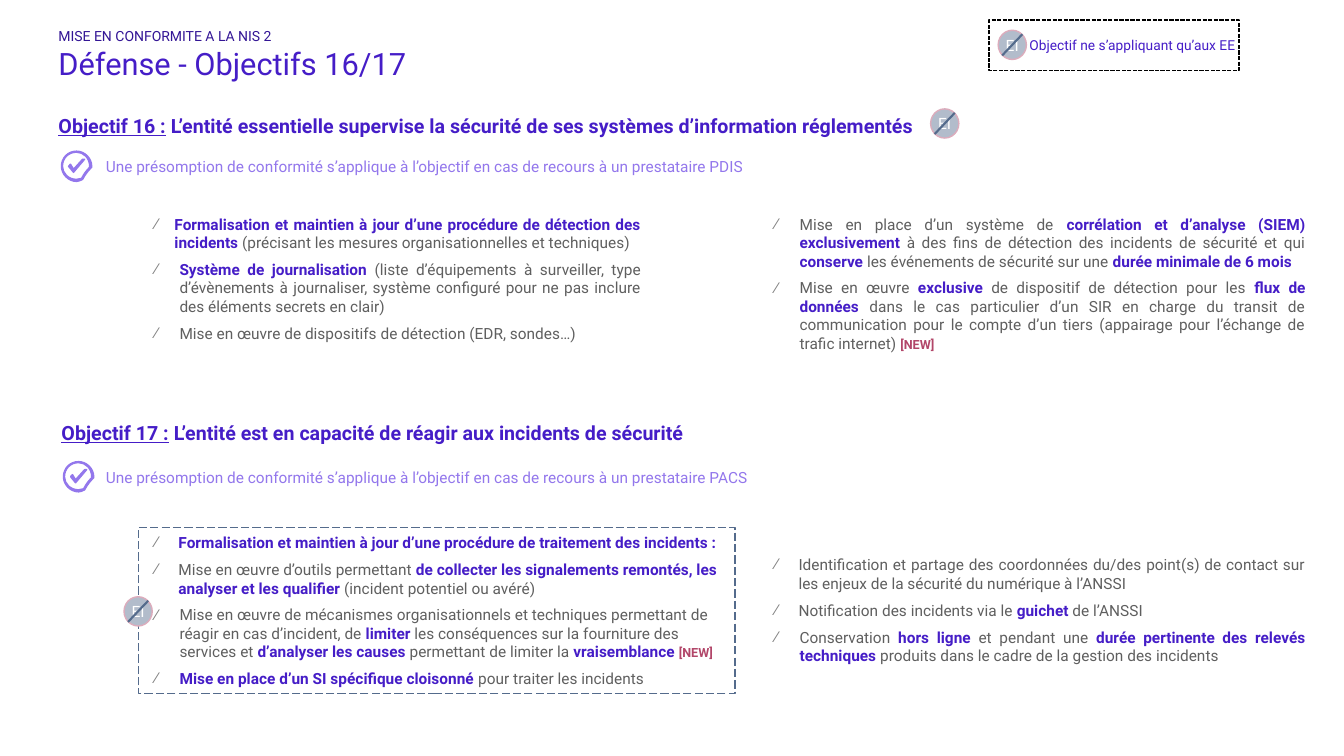
from dataclasses import dataclass

import lxml.etree
import pptx
import pptx.dml.color
import pptx.enum.dml
import pptx.enum.shapes
import pptx.enum.text
import pptx.oxml.ns
import pptx.util

Inches = pptx.util.Inches
Align = pptx.enum.text.PP_ALIGN
Anchor = pptx.enum.text.MSO_ANCHOR
Dash = pptx.enum.dml.MSO_LINE
Preset = pptx.enum.shapes.MSO_SHAPE
qualify = pptx.oxml.ns.qn
Box = tuple[float, float, float, float]
Point = tuple[float, float]

COLORS = {
    "accent": "451DC7", "kicker": "331595", "note": "9377EC", "body": "5F5F5F", "new": "B24669", "bullet": "808080",
    "badge": "B2BCCB", "badge_line": "DCACBC", "slate": "546B8C", "white": "FFFFFF", "black": "000000",
}


@dataclass
class Span:
    text: str
    color: str
    size: float
    bold: bool = False
    underline: bool = False


@dataclass
class Label:
    box: Box
    spans: list[Span]
    margin_x: float = 0.12
    margin_y: float = 0.05
    anchor: Anchor = Anchor.TOP


@dataclass
class Item:
    """One bullet; text between ** marks is emphasised."""
    text: str
    indent: float = 0.24
    is_new: bool = False


@dataclass
class BulletList:
    box: Box
    alignment: Align
    items: list[Item]


def heading(number: int, text: str) -> list[Span]:
    return [Span(f"Objectif {number} :", "accent", 14, True, True), Span(f" {text}", "accent", 14, True)]


def provider_note(provider: str) -> list[Span]:
    return [Span("Une présomption de conformité s’applique à l’objectif en cas de recours à un prestataire "
                 + provider, "note", 11)]


TITLE = Label((0.46, 0.44, 12.4, 1.02), [Span("Défense - Objectifs 16/17", "accent", 22)], margin_y=0)
LABELS = [
    Label((0.46, 0.16, 12.4, 0.28), [Span("MISE EN CONFORMITE A LA NIS 2", "kicker", 10)], 0.12, 0, Anchor.BOTTOM),
    Label((0.46, 1.08, 10.59, 0.34), heading(
        16, "L’entité essentielle supervise la sécurité de ses systèmes d’information réglementés")),
    Label((0.93, 1.51, 9.83, 0.29), provider_note("PDIS")),
    Label((0.46, 4.13, 12.85, 0.34), heading(17, "L’entité est en capacité de réagir aux incidents de sécurité"), 0.15),
    Label((0.93, 4.59, 8.9, 0.29), provider_note("PACS")),
    Label((10.06, 0.3, 2.4, 0.29), [Span("Objectif ne s’appliquant qu’aux EE", "accent", 9.8)], 0.15, 0.05,
          Anchor.MIDDLE),
]
LISTS = [
    BulletList((1.44, 2.08, 5.02, 1.38), Align.JUSTIFY, [
        Item("**Formalisation et maintien à jour d’une procédure de détection des incidents** "
             "(précisant les mesures organisationnelles et techniques)", 0.19),
        Item("**Système de journalisation** (liste d’équipements à surveiller, type d’évènements à "
             "journaliser, système configuré pour ne pas inclure des éléments secrets en clair)"),
        Item("Mise en œuvre de dispositifs de détection (EDR, sondes…)"),
    ]),
    BulletList((7.59, 2.08, 5.46, 1.48), Align.JUSTIFY, [
        Item("Mise en place d’un système de **corrélation et d’analyse (SIEM) exclusivement** à des fins de détection "
             "des incidents de sécurité et qui **conserve** les événements de sécurité sur une "
             "**durée minimale de 6 mois**"),
        Item("Mise en œuvre **exclusive** de dispositif de détection pour les **flux de données** dans le cas "
             "particulier d’un SIR en charge du transit de communication pour le compte d’un tiers "
             "(appairage pour l’échange de trafic internet) ", is_new=True),
    ]),
    BulletList((1.44, 5.24, 5.92, 1.65), Align.LEFT, [
        Item("**Formalisation et maintien à jour d’une procédure de traitement des incidents :**", 0.23),
        Item("Mise en œuvre d’outils permettant **de collecter les signalements remontés, les analyser et les "
             "qualifier** (incident potentiel ou avéré)", 0.23),
        Item("Mise en œuvre de mécanismes organisationnels et techniques permettant de réagir en cas d’incident, de "
             "**limiter** les conséquences sur la fourniture des services et **d’analyser les causes** permettant "
             "de limiter la **vraisemblance **", is_new=True),
        Item("**Mise en place d’un SI spécifique cloisonné** pour traiter les incidents"),
    ]),
    BulletList((7.59, 5.46, 5.46, 1.19), Align.JUSTIFY, [
        Item("Identification et partage des coordonnées du/des point(s) de contact sur les enjeux de la sécurité du "
             "numérique à l’ANSSI", 0.23),
        Item("Notification des incidents via le **guichet** de l’ANSSI", 0.23),
        Item("Conservation **hors ligne** et pendant une **durée pertinente des relevés techniques** produits dans "
             "le cadre de la gestion des incidents"),
    ]),
]
BADGES = [(9.23, 1.08), (1.23, 5.92), (9.9, 0.3)]
CHECK_CENTERS = [(0.76, 1.65), (0.78, 4.73)]
# Each ring contour is a start point followed by triples of Bézier points around the centre.
RING = [
    [(0, -0.14), (0.07, -0.14), (0.13, -0.08), (0.13, 0), (0.13, 0), (0.13, 0), (0.13, 0.01),
     (0.11, 0.03), (0.08, 0.06), (0.05, 0.12), (0.03, 0.13), (0.02, 0.13), (0, 0.13),
     (-0.08, 0.13), (-0.14, 0.07), (-0.14, 0), (-0.14, -0.08), (-0.08, -0.14), (0, -0.14)],
    [(0, -0.15), (-0.09, -0.15), (-0.15, -0.08), (-0.15, 0), (-0.15, 0.08), (-0.08, 0.15), (0, 0.15),
     (0.02, 0.15), (0.04, 0.14), (0.06, 0.13), (0.09, 0.07), (0.13, 0.03), (0.15, 0.01),
     (0.15, 0.01), (0.15, 0), (0.15, 0), (0.15, -0.08), (0.08, -0.15), (0, -0.15)],
]
TICK = [(-0.08, 0), (-0.03, 0.06), (0.08, -0.07), (0.06, -0.07), (-0.03, 0.03), (-0.06, -0.02)]


def rgb(name: str) -> pptx.dml.color.RGBColor:
    return pptx.dml.color.RGBColor.from_string(COLORS[name])


def inches(values: Box) -> list[int]:
    return [Inches(value) for value in values]


def add_spans(paragraph, spans: list[Span]) -> None:
    for span in spans:
        run = paragraph.add_run()
        run.text = span.text
        run.font.name, run.font.size = "Roboto", pptx.util.Pt(span.size)
        run.font.bold, run.font.underline = span.bold, span.underline
        run.font.color.rgb = rgb(span.color)


def fill_label(shape, label: Label, alignment: Align = Align.LEFT) -> None:
    shape.left, shape.top, shape.width, shape.height = inches(label.box)
    frame = shape.text_frame
    frame.word_wrap, frame.auto_size = True, pptx.enum.text.MSO_AUTO_SIZE.NONE
    frame.vertical_anchor = label.anchor
    frame.margin_left = frame.margin_right = Inches(label.margin_x)
    frame.margin_top = frame.margin_bottom = Inches(label.margin_y)
    frame.paragraphs[0].alignment = alignment
    add_spans(frame.paragraphs[0], label.spans)


def fill_list(shape, bullet_list: BulletList) -> None:
    fill_label(shape, Label(bullet_list.box, [], 0.1))
    for index, item in enumerate(bullet_list.items):
        paragraph = shape.text_frame.add_paragraph() if index else shape.text_frame.paragraphs[0]
        paragraph.level, paragraph.alignment = 1, bullet_list.alignment
        paragraph.space_before, paragraph.space_after = pptx.util.Pt(0), pptx.util.Pt(6)
        properties = paragraph._p.get_or_add_pPr()
        properties.set("marL", str(Inches(item.indent)))
        properties.set("indent", str(-Inches(item.indent)))
        color = lxml.etree.SubElement(properties, qualify("a:buClr"))
        lxml.etree.SubElement(color, qualify("a:srgbClr"), val=COLORS["bullet"])
        lxml.etree.SubElement(properties, qualify("a:buChar"), char="⁄")
        for position, part in enumerate(item.text.split("**")):
            emphasised = position % 2 == 1
            if part:
                add_spans(paragraph, [Span(part, "accent" if emphasised else "body", 11, emphasised)])
        if item.is_new:
            add_spans(paragraph, [Span("[NEW]", "new", 9, True)])


def style_shape(shape, fill: str | None, line: str, width: float) -> None:
    shape.shadow.inherit = False
    if fill:
        shape.fill.solid()
        shape.fill.fore_color.rgb = rgb(fill)
    else:
        shape.fill.background()
    shape.line.color.rgb, shape.line.width = rgb(line), pptx.util.Pt(width)


def add_frame(slide, box: Box, color: str, width: float, dash: Dash) -> None:
    shape = slide.shapes.add_shape(Preset.RECTANGLE, *inches(box))
    style_shape(shape, None, color, width)
    shape.line.dash_style = dash


def add_badge(slide, left: float, top: float) -> None:
    """Draw the struck-through EI disc."""
    shapes = slide.shapes.add_group_shape().shapes
    box = (left, top, 0.28, 0.29)
    disc = shapes.add_shape(Preset.OVAL, *inches(box))
    style_shape(disc, "badge", "badge_line", 1)
    fill_label(disc, Label(box, [Span("EI", "white", 11.1)], 0, 0, Anchor.MIDDLE), Align.CENTER)
    ends = inches((left + 0.24, top + 0.04, left + 0.04, top + 0.25))
    strike = shapes.add_connector(pptx.enum.shapes.MSO_CONNECTOR.STRAIGHT, *ends)
    strike.line.color.rgb, strike.line.width = rgb("slate"), pptx.util.Pt(1.5)
    lxml.etree.SubElement(strike._element.spPr, qualify("a:effectLst"))


def add_outline(shapes, center: Point, contours: list[list[Point]], curved: bool) -> None:
    placed = [[(Inches(center[0] + x), Inches(center[1] + y)) for x, y in contour] for contour in contours]
    builder = shapes.build_freeform(*placed[0][0])
    for index, (start, *others) in enumerate(placed):
        if index:
            builder.move_to(*start)
        builder.add_line_segments(others, close=True)
    shape = builder.convert_to_shape()
    style_shape(shape, "note", "note", 1)
    segments = list(shape._element.iter(qualify("a:lnTo"))) if curved else []
    for first in range(0, len(segments), 3):
        curve = lxml.etree.Element(qualify("a:cubicBezTo"))
        segments[first].addprevious(curve)
        for segment in segments[first:first + 3]:
            curve.append(segment[0])
            segment.getparent().remove(segment)


def main() -> None:
    presentation = pptx.Presentation()
    presentation.slide_width, presentation.slide_height = Inches(13.33), Inches(7.5)
    slide = presentation.slides.add_slide(presentation.slide_layouts.get_by_name("Comparison"))
    title, *bodies = slide.placeholders
    fill_label(title, TITLE)
    for body, bullet_list in zip(bodies, LISTS):
        fill_list(body, bullet_list)
    for label in LABELS:
        fill_label(slide.shapes.add_textbox(*inches(label.box)), label)
    add_frame(slide, (1.37, 5.23, 5.92, 1.65), "slate", 0.75, Dash.LONG_DASH)
    add_frame(slide, (9.81, 0.2, 2.48, 0.5), "black", 1, Dash.SQUARE_DOT)
    for left, top in BADGES:
        add_badge(slide, left, top)
    for center in CHECK_CENTERS:
        shapes = slide.shapes.add_group_shape().shapes
        add_outline(shapes, center, RING, curved=True)
        add_outline(shapes, center, [TICK], curved=False)
    presentation.save("out.pptx")


if __name__ == "__main__":
    main()
